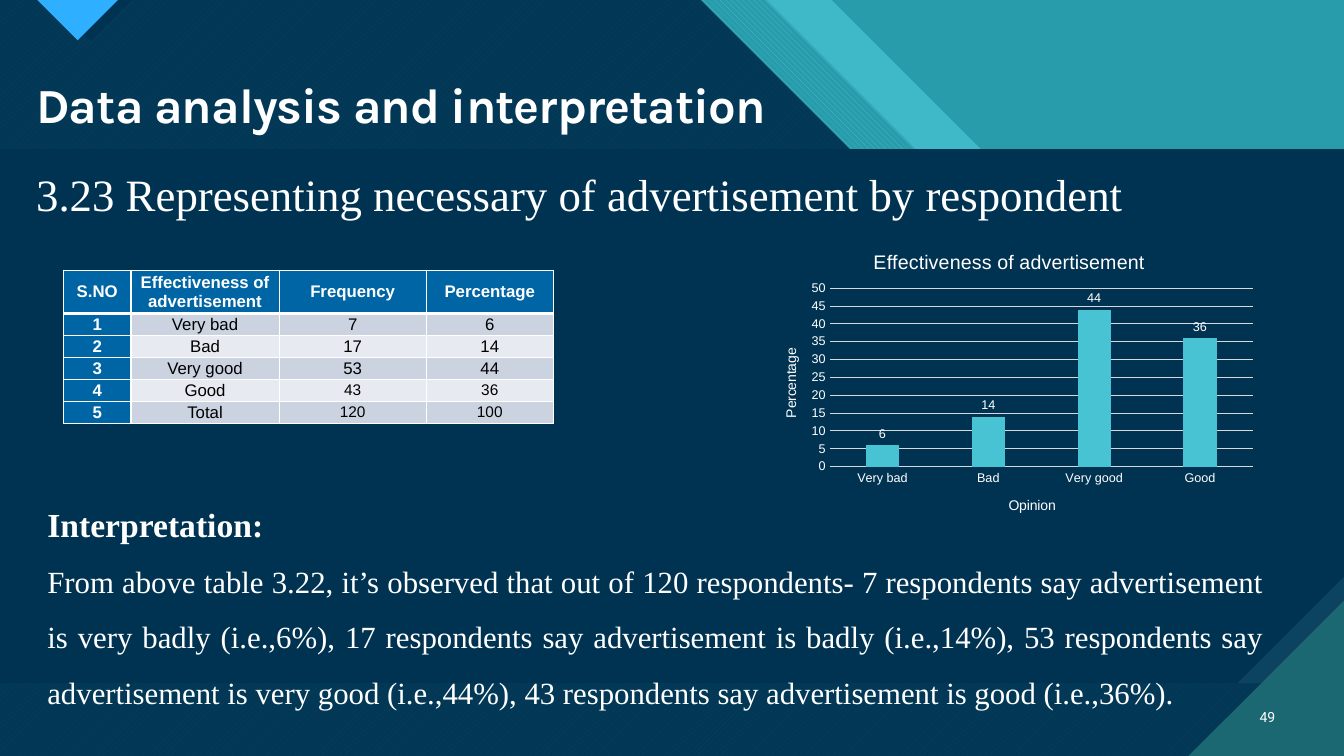
"""Build the advertisement effectiveness slide."""
from lxml import etree
from pptx import Presentation
from pptx.chart.data import CategoryChartData
from pptx.dml.color import RGBColor
from pptx.enum.chart import XL_CHART_TYPE, XL_LABEL_POSITION, XL_TICK_MARK
from pptx.enum.dml import MSO_PATTERN
from pptx.enum.shapes import MSO_SHAPE
from pptx.enum.text import MSO_ANCHOR, MSO_AUTO_SIZE, PP_ALIGN
from pptx.oxml.ns import qn
from pptx.util import Emu, Pt

DOWN = MSO_PATTERN.WIDE_DOWNWARD_DIAGONAL
UP = MSO_PATTERN.WIDE_UPWARD_DIAGONAL
SNIP = MSO_SHAPE.SNIP_1_RECTANGLE
COLUMN = XL_CHART_TYPE.COLUMN_CLUSTERED
ABOVE = XL_LABEL_POSITION.OUTSIDE_END
NO_TICK = XL_TICK_MARK.NONE
TOP, MIDDLE = MSO_ANCHOR.TOP, MSO_ANCHOR.MIDDLE
LEFT, CENTER = PP_ALIGN.LEFT, PP_ALIGN.CENTER
RIGHT, JUSTIFY = PP_ALIGN.RIGHT, PP_ALIGN.JUSTIFY
FIXED = MSO_AUTO_SIZE.NONE

WHITE = RGBColor(0xFF, 0xFF, 0xFF)
BLACK = RGBColor(0, 0, 0)
NAVY = RGBColor(0x00, 0x33, 0x52)
SLATE = RGBColor(0x0C, 0x43, 0x60)
TEAL = RGBColor(0x29, 0x9C, 0xAB)
AQUA = RGBColor(0x47, 0xC3, 0xD3)
PINE = RGBColor(0x1B, 0x68, 0x72)
SKY = RGBColor(0x2F, 0xAF, 0xFF)
BLUE = RGBColor(0x00, 0x65, 0xA4)
DARK = RGBColor(0xCC, 0xD3, 0xE0)
PALE = RGBColor(0xE7, 0xEA, 0xF0)
GREY = RGBColor(0xD9, 0xD9, 0xD9)

CELL = 91440
WIDE, HIGH = 133.33, 75
SERIF = "Times New Roman"

TITLE = "Data analysis and interpretation"
TOPIC = "3.23 Representing necessary of advertisement by respondent"
NOTES = [
    ("Interpretation:", 24, True),
    ("From above table 3.22, it’s observed that out of 120 respondents- 7 respondents say "
     "advertisement is very badly (i.e.,6%), 17 respondents say advertisement is badly "
     "(i.e.,14%), 53 respondents say advertisement is very good (i.e.,44%), 43 respondents "
     "say advertisement is good (i.e.,36%).", 22, False),
]
ROWS = [
    ("S.NO", "Effectiveness of advertisement", "Frequency", "Percentage"),
    ("1", "Very bad", "7", "6"),
    ("2", "Bad", "17", "14"),
    ("3", "Very good", "53", "44"),
    ("4", "Good", "43", "36"),
    ("5", "Total", "120", "100"),
]
COLS = (6.7, 14.7, 14.6, 12.6)
HEAD, ROW = 4.3, 2.18
SHARES = {row[1]: int(row[3]) for row in ROWS[1:-1]}
LABELS = {
    "chart": ("Effectiveness of advertisement", 14, (0.22, 0.05)),
    "x": ("Opinion", 10, (0.49, 0.87)),
    "y": ("Percentage", 10, (0.04, 0.38)),
}
PLOT = (0.14, 0.19, 0.84, 0.59)

SLOPES = [(82.5, AQUA, None, 74), (76, AQUA, (DOWN, TEAL), 100),
          (69.5, AQUA, (UP, PINE), 100), (69.5, NAVY, None, 90)]
SNIPS = [(0, SLATE), (0.2, NAVY)]
CORNERS = [
    ([(4.8, 0), (9, 4.1), (13.1, 0)], NAVY),
    ([(3.7, 0), (7.7, 4), (11.7, 0)], SKY),
    ([(117.9, HIGH), (WIDE, HIGH), (WIDE, 59.6)], PINE),
]


def grid(*vals):
    return [Emu(round(val * CELL)) for val in vals]


def apply(item, **vals):
    for name, val in vals.items():
        setattr(item, name, val)


def style(font, size, color=WHITE, name="Arial", bold=False):
    apply(font, size=Pt(size), name=name, bold=bold)
    font.color.rgb = color


def paint(shape, color, mesh=None, alpha=100):
    shape.shadow.inherit = False
    shape.line.fill.background()
    if mesh:
        shape.fill.patterned()
        shape.fill.pattern = mesh[0]
        shape.fill.fore_color.rgb = color
        shape.fill.back_color.rgb = mesh[1]
        return
    shape.fill.solid()
    shape.fill.fore_color.rgb = color
    if alpha < 100:
        tone = shape._element.spPr.find(".//" + qn("a:srgbClr"))
        etree.SubElement(tone, qn("a:alpha"), val=str(alpha * 1000))


def outline(shapes, spots, *look):
    spots = [grid(*spot) for spot in spots]
    form = shapes.build_freeform(*spots[0], scale=1.0)
    form.add_line_segments(spots[1:], close=True)
    paint(form.convert_to_shape(), *look)


def backdrop(slide):
    slide.background.fill.solid()
    slide.background.fill.fore_color.rgb = TEAL
    shapes = slide.shapes
    for x, *look in SLOPES:
        outline(shapes, [(0, 0), (x, 0), (x + 29.7, 29.7), (WIDE, 29.7),
                         (WIDE, HIGH), (0, HIGH)], *look)
    for cut, color in SNIPS:
        panel = shapes.add_shape(SNIP, *grid(0, 14.8, WIDE, 53))
        panel.adjustments[0] = cut
        panel._element.spPr.find(qn("a:xfrm")).set("flipV", "1")
        paint(panel, color)
    for spots, color in CORNERS:
        outline(shapes, spots, color)


def write(shape, area, lines, align, anchor=TOP, gap=1.0, name=SERIF):
    apply(shape, **dict(zip(("left", "top", "width", "height"), grid(*area))))
    frame = shape.text_frame
    apply(frame, word_wrap=True, auto_size=FIXED, vertical_anchor=anchor)
    for i, (text, size, bold) in enumerate(lines):
        para = frame.add_paragraph() if i else frame.paragraphs[0]
        props = para._p.get_or_add_pPr()
        props.set("marL", "0")
        props.set("indent", "0")
        etree.SubElement(props, qn("a:buNone"))
        apply(para, alignment=align, line_spacing=gap, space_before=Pt(0))
        run = para.add_run()
        run.text = text
        style(run.font, size, WHITE, name, bold)


def edge(props, side, width):
    line = etree.SubElement(props, qn("a:ln" + side), w=str(Pt(width)))
    fill = etree.SubElement(line, qn("a:solidFill"))
    etree.SubElement(fill, qn("a:srgbClr"), val=str(WHITE))


def tabulate(shapes):
    area = grid(6.3, 26.8, sum(COLS), HEAD + ROW * (len(ROWS) - 1))
    table = shapes.add_table(len(ROWS), len(COLS), *area).table
    for col, width in zip(table.columns, grid(*COLS)):
        col.width = width
    for r, row in enumerate(ROWS):
        table.rows[r].height = grid(ROW if r else HEAD)[0]
        for c, text in enumerate(row):
            cell = table.cell(r, c)
            key = r == 0 or c == 0
            apply(cell, text=text, vertical_anchor=MIDDLE, margin_top=0, margin_bottom=0,
                  margin_left=grid(0.7)[0], margin_right=grid(0.7)[0])
            para = cell.text_frame.paragraphs[0]
            para.alignment = CENTER
            size = 11 if r > 3 and c > 1 else 12
            style(para.runs[0].font, size, WHITE if key else BLACK, bold=key)
            props = cell._tc.get_or_add_tcPr()
            for side in "LRTB":
                thick = (r, side) in ((0, "B"), (1, "T"))
                edge(props, side, 3 if thick else 1)
            cell.fill.solid()
            cell.fill.fore_color.rgb = BLUE if key else DARK if r % 2 else PALE


def place(node, index, spot):
    for old in node.findall(qn("c:layout")):
        node.remove(old)
    layout = etree.Element(qn("c:layout"))
    manual = etree.SubElement(layout, qn("c:manualLayout"))
    vals = [("xMode", "edge"), ("yMode", "edge"), *zip("xywh", spot)]
    if len(spot) == 4:
        vals.insert(0, ("layoutTarget", "inner"))
    for tag, val in vals:
        etree.SubElement(manual, qn("c:" + tag), val=str(val))
    node.insert(index, layout)


def plot(shapes):
    data = CategoryChartData(number_format="0")
    data.categories = list(SHARES)
    data.add_series("Series 1", list(SHARES.values()))
    chart = shapes.add_chart(COLUMN, *grid(75.3, 22.9, 50, 30), data).chart
    chart.has_legend = False
    style(chart.font, 10)
    x, y = chart.category_axis, chart.value_axis
    for owner, (text, size, spot) in zip((chart, x, y), LABELS.values()):
        owner.has_title = True
        title = owner.chart_title if owner is chart else owner.axis_title
        title.text_frame.text = text
        style(title.text_frame.paragraphs[0].runs[0].font, size)
        place(title._element, 1, spot)
    for axis in (x, y):
        apply(axis, major_tick_mark=NO_TICK, minor_tick_mark=NO_TICK)
        style(axis.tick_labels.font, 9)
    apply(y, minimum_scale=0, maximum_scale=50, major_unit=5, has_major_gridlines=True)
    y.format.line.fill.background()
    for line in (x.format.line, y.major_gridlines.format.line):
        line.color.rgb = GREY
        line.width = Pt(0.75)
    bars = chart.plots[0]
    apply(bars, gap_width=219, overlap=-27, vary_by_categories=False, has_data_labels=True)
    apply(bars.data_labels, show_value=True, position=ABOVE)
    style(bars.data_labels.font, 9)
    fill = bars.series[0].format.fill
    fill.solid()
    fill.fore_color.rgb = AQUA
    place(chart._chartSpace.chart.plotArea, 0, PLOT)


def main():
    deck = Presentation()
    deck.slide_width, deck.slide_height = grid(WIDE, HIGH)
    slide = deck.slides.add_slide(deck.slide_layouts[1])
    shapes = slide.shapes
    title, body = slide.placeholders
    backdrop(slide)
    for holder in (title, body):
        shapes._spTree.append(holder._element)
    write(title, (2.6, 7.5, 75.6, 6.3), [(TITLE, 35, True)], LEFT, MIDDLE, 0.9, "Karla")
    title.text_frame.paragraphs[0].runs[0].font._element.set("spc", "-70")
    topic, page = [shapes.add_textbox(0, 0, 0, 0) for _ in range(2)]
    write(topic, (2.6, 16, 124.9, 6.4), [(TOPIC, 32, False)], JUSTIFY)
    write(page, (123.1, 69.1, 4.4, 4), [("49", 10, False)], RIGHT, MIDDLE, name="Roboto")
    write(body, (3.7, 47.5, 122.6, 23.1), NOTES, JUSTIFY, gap=1.5)
    tabulate(shapes)
    plot(shapes)
    deck.save("out.pptx")


if __name__ == "__main__":
    main()
